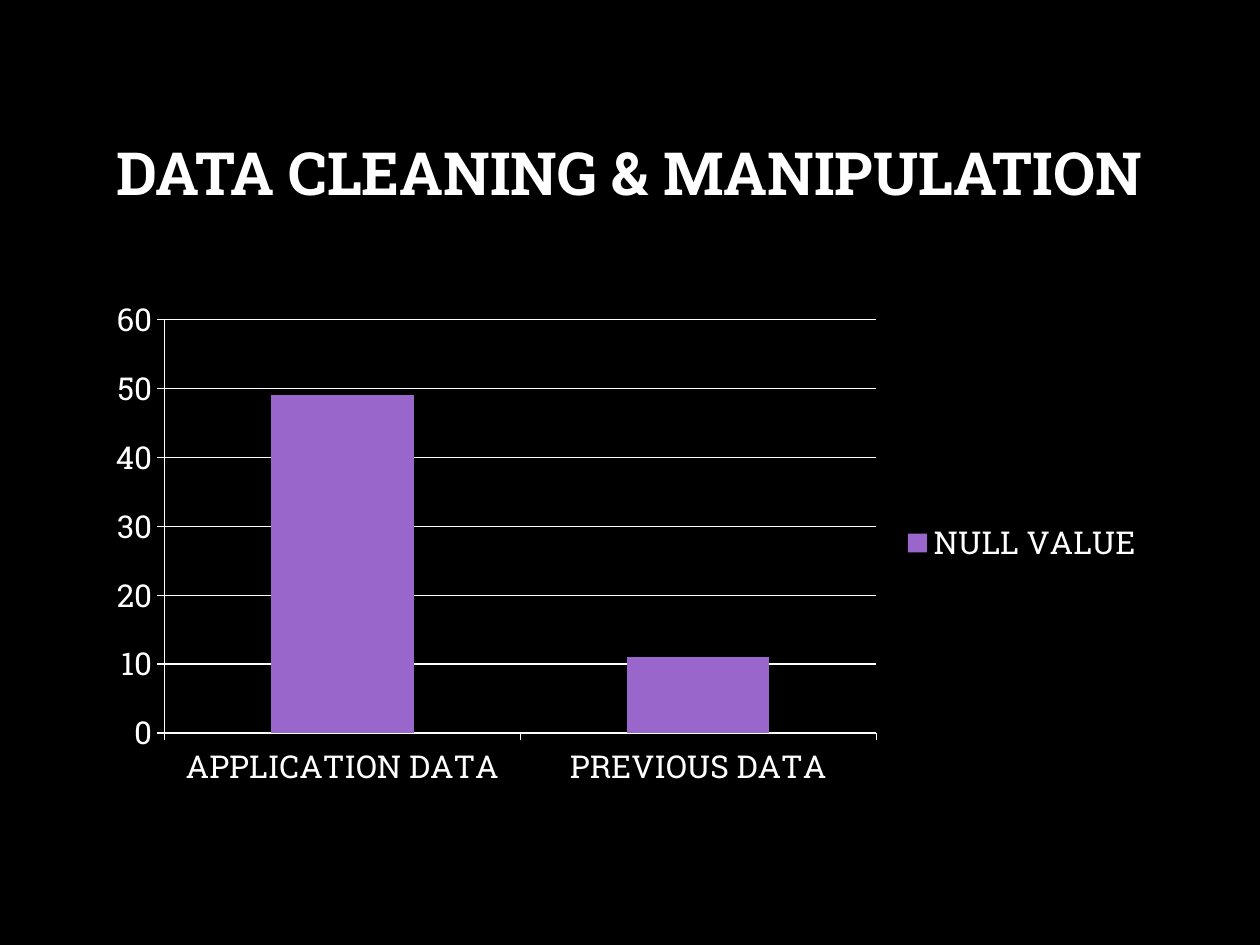
from pptx import Presentation
from pptx.chart import data
from pptx.dml import color
from pptx.enum import chart as charts, text
from pptx.util import Inches, Pt

COLORS = {"background": "000000", "text": "FFFFFF", "bar": "9966CC"}
FONT = "Roboto Slab"
LEFT, WIDTH = 0.75, 8.49


class SlideBuilder:
    def __init__(self, slide):
        self.slide = slide
        self.paint(slide.background.fill, "background")

    def paint(self, fill, name):
        fill.solid()
        fill.fore_color.rgb = color.RGBColor.from_string(COLORS[name])

    def style_font(self, font, size, bold=False):
        font.name = FONT
        font.size = Pt(size)
        font.bold = bold
        font.color.rgb = color.RGBColor.from_string(COLORS["text"])

    def style_line(self, line):
        self.paint(line.fill, "text")
        line.width = Pt(0.75)

    def add_title(self, wording, top, height):
        box = self.slide.shapes.add_textbox(
            Inches(LEFT), Inches(top), Inches(WIDTH), Inches(height))
        frame = box.text_frame
        frame.word_wrap = True
        frame.vertical_anchor = text.MSO_ANCHOR.MIDDLE
        paragraph = frame.paragraphs[0]
        paragraph.alignment = text.PP_ALIGN.CENTER
        paragraph.line_spacing = 0.9
        run = paragraph.add_run()
        run.text = wording
        self.style_font(run.font, 34, bold=True)

    def add_column_chart(self, categories, name, values, top, height):
        chart_data = data.CategoryChartData()
        chart_data.categories = categories
        chart_data.add_series(name, values)
        chart = self.slide.shapes.add_chart(
            charts.XL_CHART_TYPE.COLUMN_STACKED, Inches(LEFT), Inches(top),
            Inches(WIDTH), Inches(height), chart_data).chart
        self.style_font(chart.font, 18)
        chart.has_title = False
        chart.has_legend = True
        chart.legend.position = charts.XL_LEGEND_POSITION.RIGHT
        chart.legend.include_in_layout = False

        plot = chart.plots[0]
        plot.vary_by_categories = False
        plot.gap_width = 150
        plot.overlap = 100
        self.paint(plot.series[0].format.fill, "bar")

        for axis in (chart.category_axis, chart.value_axis):
            axis.major_tick_mark = charts.XL_TICK_MARK.OUTSIDE
            axis.minor_tick_mark = charts.XL_TICK_MARK.NONE
            self.style_line(axis.format.line)
        axis = chart.value_axis
        axis.minimum_scale = 0
        axis.maximum_scale = 60
        axis.major_unit = 10
        axis.has_major_gridlines = True
        self.style_line(axis.major_gridlines.format.line)


def main():
    presentation = Presentation()
    presentation.slide_width = Inches(10)
    presentation.slide_height = Inches(7.5)
    slide = presentation.slides.add_slide(presentation.slide_layouts[6])
    builder = SlideBuilder(slide)
    builder.add_title("DATA CLEANING & MANIPULATION", 0.67, 1.45)
    builder.add_column_chart(
        ["APPLICATION DATA", "PREVIOUS DATA"], "NULL VALUE ", [49, 11], 2.29, 4.04)
    presentation.save("out.pptx")


if __name__ == "__main__":
    main()
